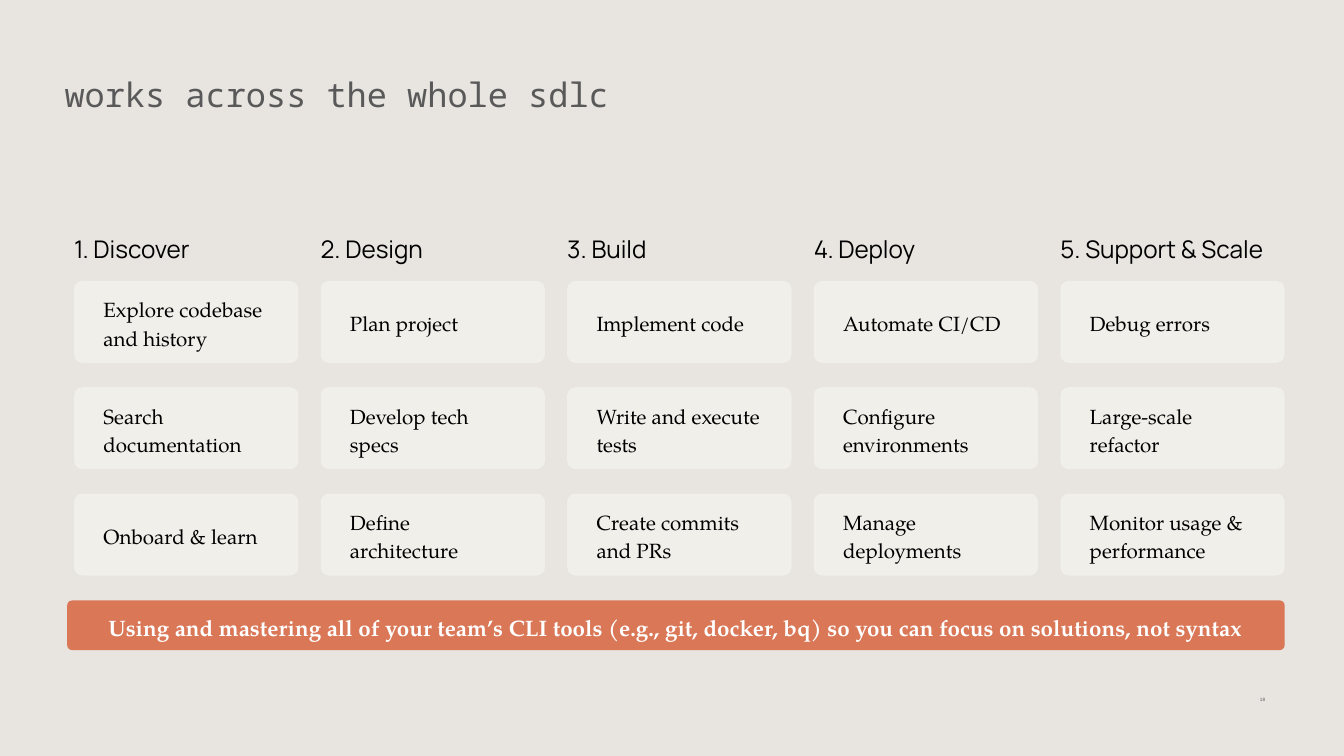
from dataclasses import dataclass

import pptx
import pptx.dml.color
import pptx.enum.shapes
import pptx.enum.text
import pptx.util
from pptx.util import Cm

COLORS = {
    "background": "E8E4E0",
    "card": "F0EFEA",
    "banner": "D97757",
    "ink": "000000",
    "grey": "595959",
    "white": "FFFFFF",
}
ALIGN = pptx.enum.text.PP_ALIGN
ANCHOR = pptx.enum.text.MSO_ANCHOR
SERIF = "TeX Gyre Pagella"

COLUMN_LEFT, COLUMN_PITCH, COLUMN_WIDTH = 1.4, 4.66, 4.24
CARD_TOP, CARD_PITCH, CARD_HEIGHT = 5.31, 2.01, 1.55


@dataclass(frozen=True)
class Area:
    left: float
    top: float
    width: float
    height: float

    def lengths(self) -> tuple:
        return Cm(self.left), Cm(self.top), Cm(self.width), Cm(self.height)


@dataclass(frozen=True)
class TextStyle:
    font: str
    size: float
    color: str
    bold: bool = False
    align: ALIGN = ALIGN.LEFT
    anchor: ANCHOR = ANCHOR.MIDDLE
    line_spacing: float = 1.15
    space_after: float = 0
    inset_x: float = 0.25
    inset_y: float = 0.25


@dataclass(frozen=True)
class Phase:
    title: str
    tasks: tuple[str, ...]
    title_width: float = COLUMN_WIDTH


TITLE = TextStyle("Noto Sans Mono", 18, "grey", anchor=ANCHOR.TOP, line_spacing=1)
HEADING = TextStyle("Manrope", 13, "ink", anchor=ANCHOR.TOP, space_after=10, inset_x=0, inset_y=0)
CARD = TextStyle(SERIF, 11, "ink", inset_x=0.51)
BANNER = TextStyle(SERIF, 12, "white", bold=True, align=ALIGN.CENTER, inset_x=0.51)
NUMBER = TextStyle("Arial", 2.5, "grey", align=ALIGN.RIGHT, line_spacing=0.8)

PHASES = (
    Phase("1. Discover", ("Explore codebase and history", "Search documentation", "Onboard & learn")),
    Phase("2. Design", ("Plan project", "Develop tech specs", "Define architecture")),
    Phase("3. Build", ("Implement code", "Write and execute tests", "Create commits and PRs")),
    Phase("4. Deploy", ("Automate CI/CD", "Configure environments", "Manage deployments")),
    Phase(
        "5. Support & Scale",
        ("Debug errors", "Large-scale refactor", "Monitor usage & performance"),
        title_width=4.4,
    ),
)


def rgb(name: str) -> pptx.dml.color.RGBColor:
    return pptx.dml.color.RGBColor.from_string(COLORS[name])


def write_text(shape, text: str, style: TextStyle) -> None:
    frame = shape.text_frame
    frame.text = text
    frame.word_wrap = True
    frame.vertical_anchor = style.anchor
    frame.margin_left = frame.margin_right = Cm(style.inset_x)
    frame.margin_top = frame.margin_bottom = Cm(style.inset_y)
    para = frame.paragraphs[0]
    para.alignment = style.align
    para.line_spacing = style.line_spacing
    para.space_after = pptx.util.Pt(style.space_after)
    for span in para.runs:
        span.font.name = style.font
        span.font.size = pptx.util.Pt(style.size)
        span.font.bold = style.bold
        span.font.color.rgb = rgb(style.color)


def add_label(page, area: Area, text: str, style: TextStyle) -> None:
    write_text(page.shapes.add_textbox(*area.lengths()), text, style)


def add_panel(page, area: Area, text: str, style: TextStyle, fill: str) -> None:
    kind = pptx.enum.shapes.MSO_SHAPE.ROUNDED_RECTANGLE
    panel = page.shapes.add_shape(kind, *area.lengths())
    panel.adjustments[0] = 0.1
    panel.shadow.inherit = False
    panel.fill.solid()
    panel.fill.fore_color.rgb = rgb(fill)
    panel.line.fill.background()
    write_text(panel, text, style)


def add_phase(page, phase: Phase, column: int) -> None:
    left = COLUMN_LEFT + column * COLUMN_PITCH
    add_label(page, Area(left, 4.34, phase.title_width, 0.56), phase.title, HEADING)
    for row, task in enumerate(phase.tasks):
        area = Area(left, CARD_TOP + row * CARD_PITCH, COLUMN_WIDTH, CARD_HEIGHT)
        add_panel(page, area, task, CARD, "card")


def main() -> None:
    deck = pptx.Presentation()
    deck.slide_width, deck.slide_height = Cm(25.4), Cm(14.29)
    page = deck.slides.add_slide(deck.slide_layouts[6])
    page.background.fill.solid()
    page.background.fill.fore_color.rgb = rgb("background")

    add_label(page, Area(22.94, 13.08, 1.22, 0.3), "18", NUMBER)
    for column, phase in enumerate(PHASES):
        add_phase(page, phase, column)
    add_panel(
        page,
        Area(1.27, 11.35, 23.01, 0.94),
        "Using and mastering all of your team’s CLI tools (e.g., git, docker, bq) "
        "so you can focus on solutions, not syntax",
        BANNER,
        "banner",
    )
    add_label(page, Area(0.97, 1.14, 22.66, 1.27), "works across the whole sdlc", TITLE)

    deck.save("out.pptx")


if __name__ == "__main__":
    main()
